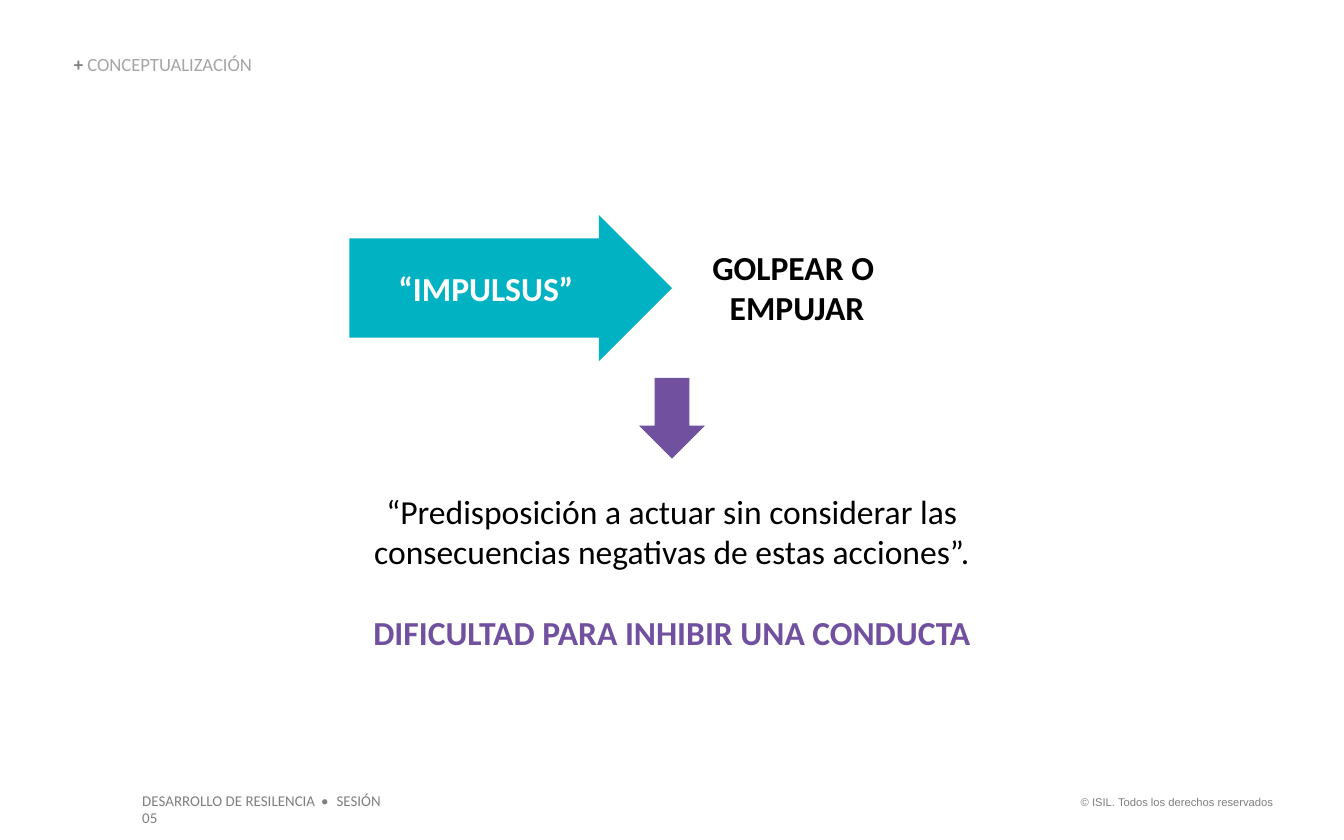
from dataclasses import dataclass

from pptx import Presentation
from pptx.dml.color import RGBColor
from pptx.enum.shapes import MSO_SHAPE
from pptx.enum.text import MSO_ANCHOR, MSO_AUTO_SIZE, PP_ALIGN
from pptx.util import Inches, Pt

WIDTH, HEIGHT = 10, 6.25
TEAL, PURPLE, GREY, LIGHT_GREY = "00B2C2", "7150A0", "7F7F7F", "A5A5A5"
BLACK, WHITE = "000000", "FFFFFF"
BODY_SIZE = 18
BLANK_LINE = 22  # one body line, in points
PADDING = (0.1, 0.05)
NO_PADDING = (0, 0)


@dataclass
class Area:
    """Left, top, width and height as shares of the slide."""
    left: float
    top: float
    width: float
    height: float

    def lengths(self):
        return (Inches(self.left * WIDTH), Inches(self.top * HEIGHT),
                Inches(self.width * WIDTH), Inches(self.height * HEIGHT))


@dataclass
class Span:
    text: str
    spacing: float = 0  # extra points after each letter


@dataclass
class Line:
    spans: list[Span]
    size: float = BODY_SIZE
    color: str = BLACK
    bold: bool = False
    align: PP_ALIGN = PP_ALIGN.CENTER
    font: str = "Calibri"
    before: float = 0


@dataclass
class TextBlock:
    area: Area
    lines: list[Line]
    padding: tuple[float, float] = PADDING


@dataclass
class Arrow:
    area: Area
    kind: MSO_SHAPE
    shaft: float
    color: str
    lines: list[Line]


def rgb(color: str) -> RGBColor:
    return RGBColor.from_string(color)


def style(font, name: str, size: float, color: str, bold: bool) -> None:
    font.name, font.size, font.bold = name, Pt(size), bold
    font.color.rgb = rgb(color)


def set_frame(frame, padding: tuple[float, float], anchor: MSO_ANCHOR) -> None:
    frame.word_wrap = True
    frame.vertical_anchor = anchor
    frame.margin_left = frame.margin_right = Inches(padding[0])
    frame.margin_top = frame.margin_bottom = Inches(padding[1])


def write_lines(frame, lines: list[Line]) -> None:
    for index, line in enumerate(lines):
        para = frame.add_paragraph() if index else frame.paragraphs[0]
        para.alignment = line.align
        if line.before:
            para.space_before = Pt(line.before)
        style(para.font, line.font, line.size, line.color, line.bold)
        for span in line.spans:
            run = para.add_run()
            run.text = span.text
            if span.spacing:
                run._r.get_or_add_rPr().set("spc", str(round(span.spacing * 100)))


def draw_text(page, block: TextBlock) -> None:
    box = page.shapes.add_textbox(*block.area.lengths())
    set_frame(box.text_frame, block.padding, MSO_ANCHOR.TOP)
    box.text_frame.auto_size = MSO_AUTO_SIZE.SHAPE_TO_FIT_TEXT
    write_lines(box.text_frame, block.lines)


def draw_arrow(page, arrow: Arrow) -> None:
    shape = page.shapes.add_shape(arrow.kind, *arrow.area.lengths())
    shape.shadow.inherit = False
    shape.adjustments[0], shape.adjustments[1] = arrow.shaft, 0.5
    shape.fill.solid()
    shape.fill.fore_color.rgb = rgb(arrow.color)
    shape.line.fill.background()
    set_frame(shape.text_frame, PADDING, MSO_ANCHOR.MIDDLE)
    write_lines(shape.text_frame, arrow.lines)


def draw_title(page, area: Area) -> None:
    title = page.shapes.title
    title.left, title.top, title.width, title.height = area.lengths()
    set_frame(title.text_frame, NO_PADDING, MSO_ANCHOR.BOTTOM)
    title.text_frame.auto_size = MSO_AUTO_SIZE.SHAPE_TO_FIT_TEXT
    para = title.text_frame.paragraphs[0]
    para.alignment, para.line_spacing = PP_ALIGN.LEFT, 0.9
    for text, color, bold in (("+ ", GREY, True),
                              ("CONCEPTUALIZACIÓN", LIGHT_GREY, False)):
        run = para.add_run()
        run.text = text
        style(run.font, "Calibri", 10, color, bold)


TEXT_BLOCKS = [
    TextBlock(Area(0.788, 0.939, 0.169, 0.032), [
        Line([Span("© ISIL. Todos los derechos reservados")], 6, GREY,
             align=PP_ALIGN.RIGHT, font="Arial")]),
    TextBlock(Area(0.096, 0.934, 0.211, 0.038), [
        Line([Span("DESARROLLO DE RESILENCIA"), Span(" • ", 1.2), Span("SESIÓN 05")],
             8, GREY, align=PP_ALIGN.LEFT)]),
    TextBlock(Area(0.514, 0.286, 0.158, 0.114), [
        Line([Span("GOLPEAR O ")], bold=True),
        Line([Span("EMPUJAR")], bold=True)]),
    TextBlock(Area(0.25, 0.584, 0.5, 0.194), [
        Line([Span("“Predisposición a actuar sin considerar las "
                   "consecuencias negativas de estas acciones”.")]),
        Line([Span("DIFICULTAD PARA INHIBIR UNA CONDUCTA")], color=PURPLE,
             bold=True, before=BLANK_LINE)], NO_PADDING),
]

ARROWS = [
    Arrow(Area(0.26, 0.256, 0.24, 0.174), MSO_SHAPE.RIGHT_ARROW, 0.68, TEAL,
          [Line([Span("“IMPULSUS”")], color=WHITE, bold=True)]),
    Arrow(Area(0.4755, 0.45, 0.049, 0.096), MSO_SHAPE.DOWN_ARROW, 0.53, PURPLE, []),
]


def main() -> None:
    deck = Presentation()
    deck.slide_width, deck.slide_height = Inches(WIDTH), Inches(HEIGHT)
    page = deck.slides.add_slide(deck.slide_layouts.get_by_name("Title Only"))
    draw_title(page, Area(0.055, 0.066, 0.266, 0.024))
    for arrow in ARROWS:
        draw_arrow(page, arrow)
    for block in TEXT_BLOCKS:
        draw_text(page, block)
    deck.save("out.pptx")


if __name__ == "__main__":
    main()
